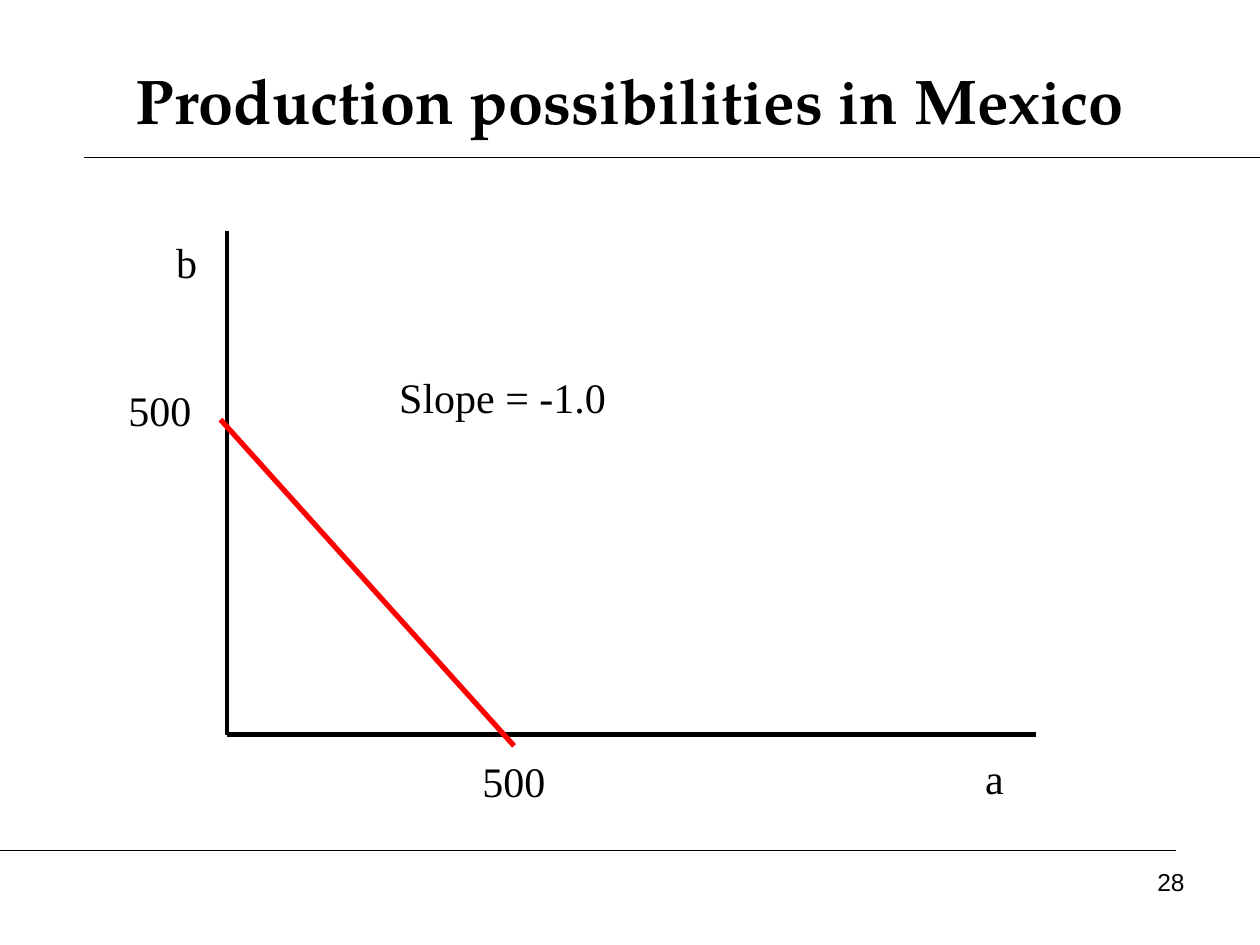
"""Build the slide showing Mexico's production possibilities line."""
from typing import NamedTuple

from lxml import etree
from pptx import Presentation
from pptx.dml.color import RGBColor
from pptx.enum.shapes import MSO_CONNECTOR
from pptx.enum.text import MSO_ANCHOR, PP_ALIGN
from pptx.oxml.ns import qn
from pptx.util import Inches, Pt

STRAIGHT = MSO_CONNECTOR.STRAIGHT
MIDDLE = MSO_ANCHOR.MIDDLE
LEFT, CENTER, RIGHT = PP_ALIGN.LEFT, PP_ALIGN.CENTER, PP_ALIGN.RIGHT
COLORS = {"ink": "000000", "frontier": "FF0000"}
TITLE_FONT, LABEL_FONT, NUMBER_FONT = "TeX Gyre Pagella", "Times New Roman", "Arial"
ORIGIN_X, ORIGIN_Y = 1.8, 5.83


class Line(NamedTuple):
    start: tuple[float, float]
    end: tuple[float, float]
    width: float
    color: str = "ink"


class Label(NamedTuple):
    text: str
    left: float
    top: float
    width: float
    height: float = 0.5
    size: float = 24
    font: str = LABEL_FONT
    align: PP_ALIGN = LEFT


LINES = [
    Line((0.67, 1.25), (10, 1.25), 0.75),
    Line((0, 6.75), (9.33, 6.75), 0.75),
    Line((ORIGIN_X, 1.83), (ORIGIN_X, ORIGIN_Y), 2.25),
    Line((ORIGIN_X, ORIGIN_Y), (8.22, ORIGIN_Y), 3),
    Line((1.75, 3.33), (4.08, 5.92), 3, "frontier"),
]
LABELS = [
    Label("b", 1.3, 1.83, 0.42),
    Label("a", 7.72, 5.92, 0.5),
    Label("500", 3.73, 5.95, 1.18),
    Label("500", 0.92, 3, 1.05),
    Label("Slope = -1.0", 3.07, 2.9, 3.5),
    Label("28", 7.17, 6.83, 2.33, 0.52, 14, NUMBER_FONT, RIGHT),
]


def write_text(shape, text: str, *, size: float, font: str,
               align: PP_ALIGN = LEFT, bold: bool = False) -> None:
    """Fill a shape with one formatted paragraph."""
    shape.text_frame.word_wrap = True
    paragraph = shape.text_frame.paragraphs[0]
    paragraph.alignment = align
    run = paragraph.add_run()
    run.text = text
    run.font.name = font
    run.font.size = Pt(size)
    run.font.bold = bold
    run.font.color.rgb = RGBColor.from_string(COLORS["ink"])


def draw_line(slide, line: Line) -> None:
    """Draw a straight line without a shadow."""
    connector = slide.shapes.add_connector(
        STRAIGHT, *(Inches(value) for value in line.start + line.end))
    connector.line.width = Pt(line.width)
    connector.line.color.rgb = RGBColor.from_string(COLORS[line.color])
    etree.SubElement(connector._element.spPr, qn("a:effectLst"))


def draw_label(slide, label: Label) -> None:
    """Draw a text box."""
    box = slide.shapes.add_textbox(
        Inches(label.left), Inches(label.top), Inches(label.width), Inches(label.height))
    write_text(box, label.text, size=label.size, font=label.font, align=label.align)


def main() -> None:
    """Build and save the presentation."""
    presentation = Presentation()
    presentation.slide_width, presentation.slide_height = Inches(10), Inches(7.5)
    slide = presentation.slides.add_slide(presentation.slide_layouts[5])
    title = slide.shapes.title
    title.left, title.top = Inches(0.5), Inches(0.33)
    title.width, title.height = Inches(9), Inches(0.92)
    title.text_frame.vertical_anchor = MIDDLE
    write_text(title, "Production possibilities in Mexico",
               size=36, font=TITLE_FONT, align=CENTER, bold=True)
    for line in LINES:
        draw_line(slide, line)
    for label in LABELS:
        draw_label(slide, label)
    presentation.save("out.pptx")


if __name__ == "__main__":
    main()
